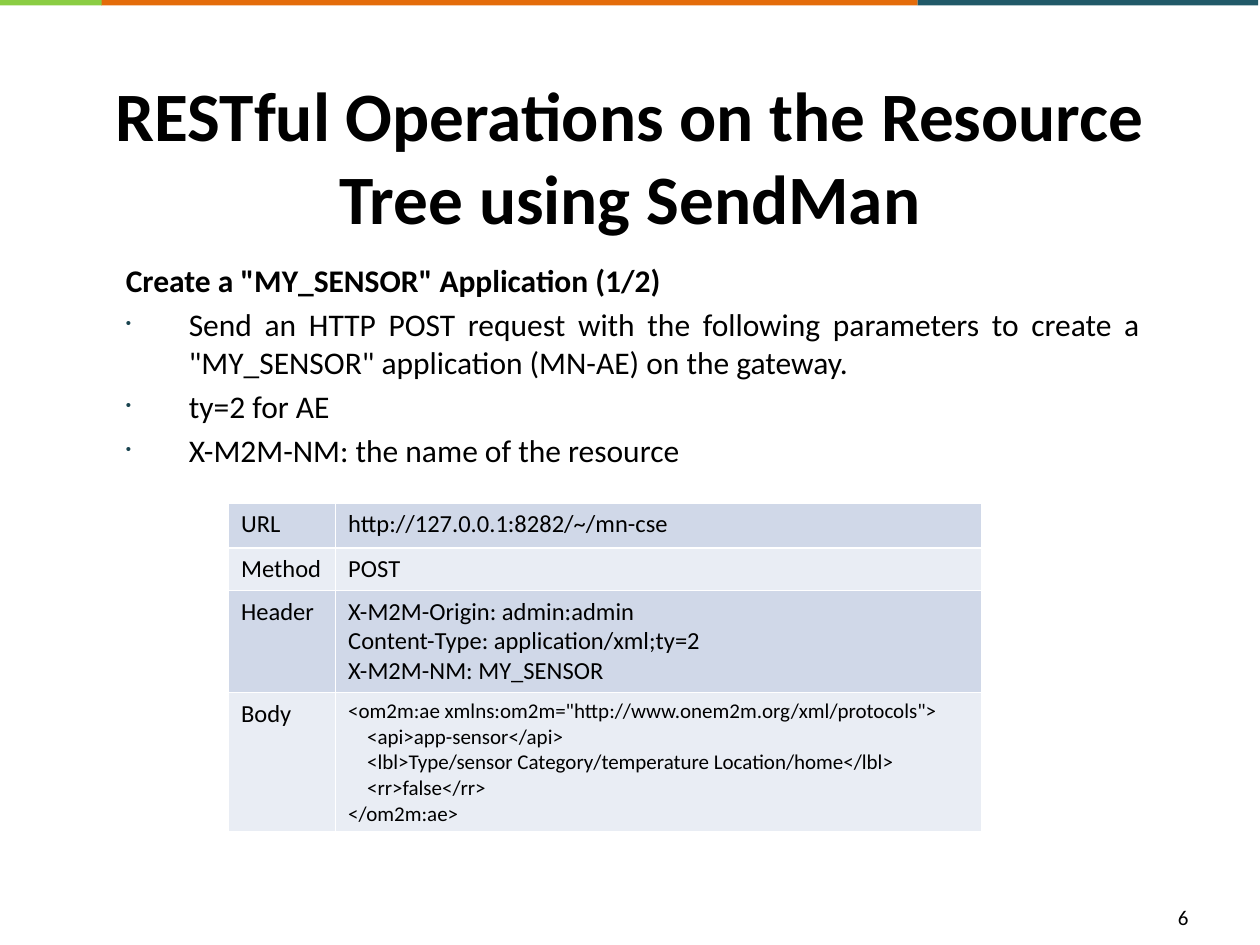
"""Build a slide on creating a sensor application through a REST request."""
from lxml import etree
from pptx import Presentation
from pptx import util as u
from pptx.dml.color import RGBColor
from pptx.enum import shapes, text
from pptx.oxml import ns

BLACK = RGBColor(0x00, 0x00, 0x00)
WHITE = RGBColor(0xFF, 0xFF, 0xFF)
ORANGE = RGBColor(0xE4, 0x6C, 0x0A)
TEAL = RGBColor(0x21, 0x59, 0x68)
GREEN = RGBColor(0x8B, 0xCD, 0x43)
BULLET = RGBColor(0x19, 0x43, 0x4F)
BANDS = (RGBColor(0xD0, 0xD8, 0xE8), RGBColor(0xE9, 0xED, 0xF4))


def add_xml(parent, tag, **attrs):
    return etree.SubElement(parent, ns.qn(tag), attrs)


class SlideBuilder:
    def __init__(self, slide, font="Calibri", color=BLACK):
        self.s = slide
        self.font = font
        self.color = color

    def bar(self, left, width, color):
        sp = self.s.shapes.add_shape(
            shapes.MSO_SHAPE.RECTANGLE, u.Pt(left), u.Pt(-0.5), u.Pt(width), u.Pt(3.6))
        sp.shadow.inherit = False
        sp.fill.solid()
        sp.fill.fore_color.rgb = color
        sp.line.fill.background()

    def run(self, p, words, size, bold=False):
        for i, line in enumerate(words.split("\n")):
            if i:
                p.add_line_break()
            r = p.add_run()
            r.text = line
            r.font.name = self.font
            r.font.size = u.Pt(size)
            r.font.bold = bold
            r.font.color.rgb = self.color

    def box(self, left, top, width, height, anchor=text.MSO_ANCHOR.TOP):
        sp = self.s.shapes.add_textbox(u.Pt(left), u.Pt(top), u.Pt(width), u.Pt(height))
        tf = sp.text_frame
        tf.word_wrap = True
        tf.vertical_anchor = anchor
        return tf

    def bullet(self, p):
        p.alignment = text.PP_ALIGN.JUSTIFY
        pPr = p._p.get_or_add_pPr()
        pPr.set("marL", str(u.Pt(36)))
        pPr.set("indent", str(u.Pt(-36)))
        add_xml(add_xml(pPr, "a:buClr"), "a:srgbClr", val=str(BULLET))
        add_xml(pPr, "a:buSzPct", val="48000")
        add_xml(pPr, "a:buFont", typeface="Arial")
        add_xml(pPr, "a:buChar", char="•")

    def cell(self, cell, lines, size, color):
        tcPr = cell._tc.get_or_add_tcPr()
        for side in ("a:lnL", "a:lnR", "a:lnT", "a:lnB"):
            ln = add_xml(tcPr, side, w=str(u.Pt(1)))
            add_xml(add_xml(ln, "a:solidFill"), "a:srgbClr", val=str(WHITE))
        cell.fill.solid()
        cell.fill.fore_color.rgb = color
        tf = cell.text_frame
        for i, (words, indent) in enumerate(lines):
            p = tf.add_paragraph() if i else tf.paragraphs[0]
            if indent:
                p._p.get_or_add_pPr().set("marL", str(u.Pt(indent)))
            self.run(p, words, size)

    def table(self, left, top, widths, heights, rows):
        table = self.s.shapes.add_table(
            len(rows), len(widths), u.Pt(left), u.Pt(top),
            u.Pt(sum(widths)), u.Pt(sum(heights))).table
        table.first_row = False
        for col, width in zip(table.columns, widths):
            col.width = u.Pt(width)
        for i, (label, lines, size) in enumerate(rows):
            table.rows[i].height = u.Pt(heights[i])
            band = BANDS[i % 2]
            self.cell(table.cell(i, 0), [(label, 0)], 14, band)
            self.cell(table.cell(i, 1), lines, size, band)


def main():
    prs = Presentation()
    prs.slide_width, prs.slide_height = u.Pt(720), u.Pt(540)
    b = SlideBuilder(prs.slides.add_slide(prs.slide_layouts[6]))

    b.bar(57.8, 466.6, ORANGE)
    b.bar(524.4, 194.6, TEAL)
    b.bar(-3.6, 61.8, GREEN)

    p = b.box(36, 49, 648, 79.2, text.MSO_ANCHOR.MIDDLE).paragraphs[0]
    p.alignment = text.PP_ALIGN.CENTER
    b.run(p, "RESTful Operations on the Resource Tree using SendMan", 39.6, bold=True)

    tf = b.box(64.8, 145.4, 594, 347)
    p = tf.paragraphs[0]
    p.space_before = u.Pt(3.6)
    b.run(p, 'Create a "MY_SENSOR" Application (1/2)', 18, bold=True)
    for words in (
        'Send an HTTP POST request with the following parameters to create a '
        '"MY_SENSOR" application (MN-AE) on the gateway.',
        "ty=2 for AE",
        "X-M2M-NM: the name of the resource",
    ):
        p = tf.add_paragraph()
        p.space_before = u.Pt(3.6)
        b.bullet(p)
        b.run(p, words, 18)

    b.run(b.box(666, 513.4, 46, 28.8).paragraphs[0], "6", 12)

    header = ("X-M2M-Origin: admin:admin\n"
              "Content-Type: application/xml;ty=2\n"
              "X-M2M-NM: MY_SENSOR")
    body = [
        ('<om2m:ae xmlns:om2m="http://www.onem2m.org/xml/protocols">', 0),
        ("<api>app-sensor</api>", 10.8),
        ("<lbl>Type/sensor Category/temperature Location/home</lbl>", 10.8),
        ("<rr>false</rr>", 10.8),
        ("</om2m:ae>", 0),
    ]
    b.table(130.6, 287.3, (61.2, 369.4), (25.9, 24.3, 58.3, 79.7), [
        ("URL", [("http://127.0.0.1:8282/~/mn-cse", 0)], 14),
        ("Method", [("POST", 0)], 14),
        ("Header", [(header, 0)], 14),
        ("Body", body, 12),
    ])
    prs.save("out.pptx")


if __name__ == "__main__":
    main()
